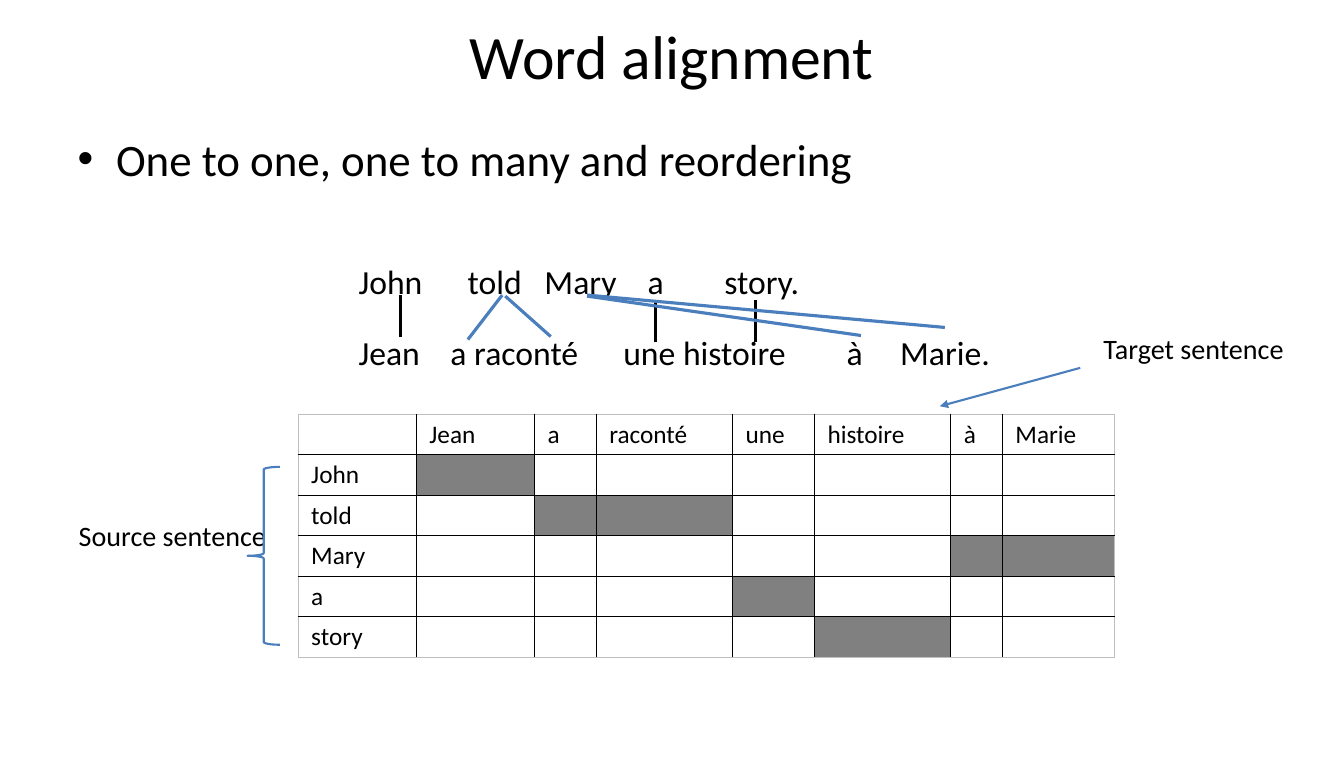
import pptx
import pptx.dml.color
import pptx.enum.shapes
import pptx.enum.text
import pptx.oxml.ns
import pptx.util
from lxml import etree

EMU_PER_PX = 9144
COLORS = {"ink": "000000", "blue": "4B7EBC", "match": "808080", "edge": "BFBFBF"}
A = pptx.oxml.ns.qn

SOURCE = ["John", "told", "Mary", "a", "story"]
TARGET = ["Jean", "a", "raconté", "une", "histoire", "à", "Marie"]
# (source index, target index) of every aligned word pair
ALIGNED = {(0, 0), (1, 1), (1, 2), (2, 5), (2, 6), (3, 3), (4, 4)}


def px(length):
    return pptx.util.Emu(length * EMU_PER_PX)


def rgb(name):
    return pptx.dml.color.RGBColor.from_string(COLORS[name])


class AlignmentSlide:
    font = "Calibri"

    def __init__(self, deck):
        self.slide = deck.slides.add_slide(deck.slide_layouts[6])
        self.shapes = self.slide.shapes

    def style(self, paragraph, size):
        for run in paragraph.runs:
            run.font.name = self.font
            run.font.size = pptx.util.Pt(size)
            run.font.color.rgb = rgb("ink")

    def text(self, box, words, size, centered=False, bullet=False, tabs=()):
        """Add a text box; tabs are stops in px from the text's left edge."""
        frame = self.shapes.add_textbox(*map(px, box)).text_frame
        frame.word_wrap = True
        frame.text = words
        paragraph = frame.paragraphs[0]
        props = paragraph._p.get_or_add_pPr()
        if centered:
            frame.vertical_anchor = pptx.enum.text.MSO_ANCHOR.MIDDLE
            paragraph.alignment = pptx.enum.text.PP_ALIGN.CENTER
        if bullet:
            props.set("marL", str(px(38)))
            props.set("indent", str(-px(38)))
            etree.SubElement(props, A("a:buFont"), typeface="Arial")
            etree.SubElement(props, A("a:buChar"), char="•")
        if tabs:
            stops = etree.SubElement(props, A("a:tabLst"))
            for stop in tabs:
                etree.SubElement(stops, A("a:tab"), pos=str(px(stop)), algn="l")
        self.style(paragraph, size)

    def line(self, start, end, color, width, arrow=False):
        link = self.shapes.add_connector(
            pptx.enum.shapes.MSO_CONNECTOR.STRAIGHT, *map(px, start + end))
        link.line.color.rgb = rgb(color)
        link.line.width = pptx.util.Pt(width)
        if arrow:
            etree.SubElement(link.line._get_or_add_ln(), A("a:tailEnd"), type="triangle")
        etree.SubElement(link._element.spPr, A("a:effectLst"))

    def brace(self, box):
        brace = self.shapes.add_shape(
            pptx.enum.shapes.MSO_SHAPE.LEFT_BRACE, *map(px, box))
        brace.shadow.inherit = False
        brace.fill.background()
        brace.line.color.rgb = rgb("blue")
        brace.line.width = pptx.util.Pt(1.5)

    def border(self, cell, side, outer):
        line = etree.SubElement(cell._tc.get_or_add_tcPr(), A("a:ln" + side),
                                w=str(pptx.util.Pt(0.5 if outer else 1)))
        fill = etree.SubElement(line, A("a:solidFill"))
        etree.SubElement(fill, A("a:srgbClr"), val=COLORS["edge" if outer else "ink"])

    def matrix(self, left, top, widths, row_height):
        """Add the alignment table, source words down and target words across."""
        last_row, last_col = len(SOURCE), len(TARGET)
        table = self.shapes.add_table(
            last_row + 1, last_col + 1, px(left), px(top),
            px(sum(widths)), px(row_height * (last_row + 1))).table
        table.first_row = table.horz_banding = False
        for column, width in zip(table.columns, widths):
            column.width = px(width)
        for r, row in enumerate(table.rows):
            row.height = px(row_height)
            for c, cell in enumerate(row.cells):
                cell.margin_left = cell.margin_right = px(13)
                cell.margin_top = cell.margin_bottom = px(5)
                outer = {"L": c == 0, "R": c == last_col, "T": r == 0, "B": r == last_row}
                for side, is_outer in outer.items():
                    self.border(cell, side, is_outer)
                if (r - 1, c - 1) in ALIGNED:
                    cell.fill.solid()
                    cell.fill.fore_color.rgb = rgb("match")
                else:
                    cell.fill.background()
                if r == 0 and c > 0:
                    cell.text = TARGET[c - 1]
                elif c == 0 and r > 0:
                    cell.text = SOURCE[r - 1]
                self.style(cell.text_frame.paragraphs[0], 18)


def main():
    deck = pptx.Presentation()
    deck.slide_width, deck.slide_height = px(1330), px(750)
    page = AlignmentSlide(deck)

    page.text((0, -2, 1330, 112), "Word alignment", 44, centered=True)
    page.text((67, 125, 1197, 60), "One to one, one to many and reordering", 32, bullet=True)
    page.text((345, 253, 480, 50), "John\ttold\tMary\ta\tstory.", 24,
              tabs=(108, 184, 286, 362))
    page.text((345, 323, 670, 50), "Jean\ta raconté\tune histoire\tà\tMarie.", 24,
              tabs=(91, 262, 483, 536))

    for x, y in ((396, 292), (649, 297), (748, 297)):
        page.line((x, y), (x, y + 41), "ink", 2.25)
    for start, end in (((497, 292), (463, 336)), ((500, 293), (545, 333)),
                       ((581, 293), (852, 332)), ((581, 292), (935, 324))):
        page.line(start, end, "blue", 2.25)

    page.text((68, 508, 209, 44), "Source sentence", 20)
    page.text((1082, 323, 209, 44), "Target sentence", 20)
    page.brace((245, 462, 32, 176))
    page.line((1069, 364), (930, 402), "blue", 1.5, arrow=True)
    page.matrix(295, 410, (117, 117, 61, 135, 81, 135, 51, 111), 40)

    deck.save("out.pptx")


if __name__ == "__main__":
    main()
